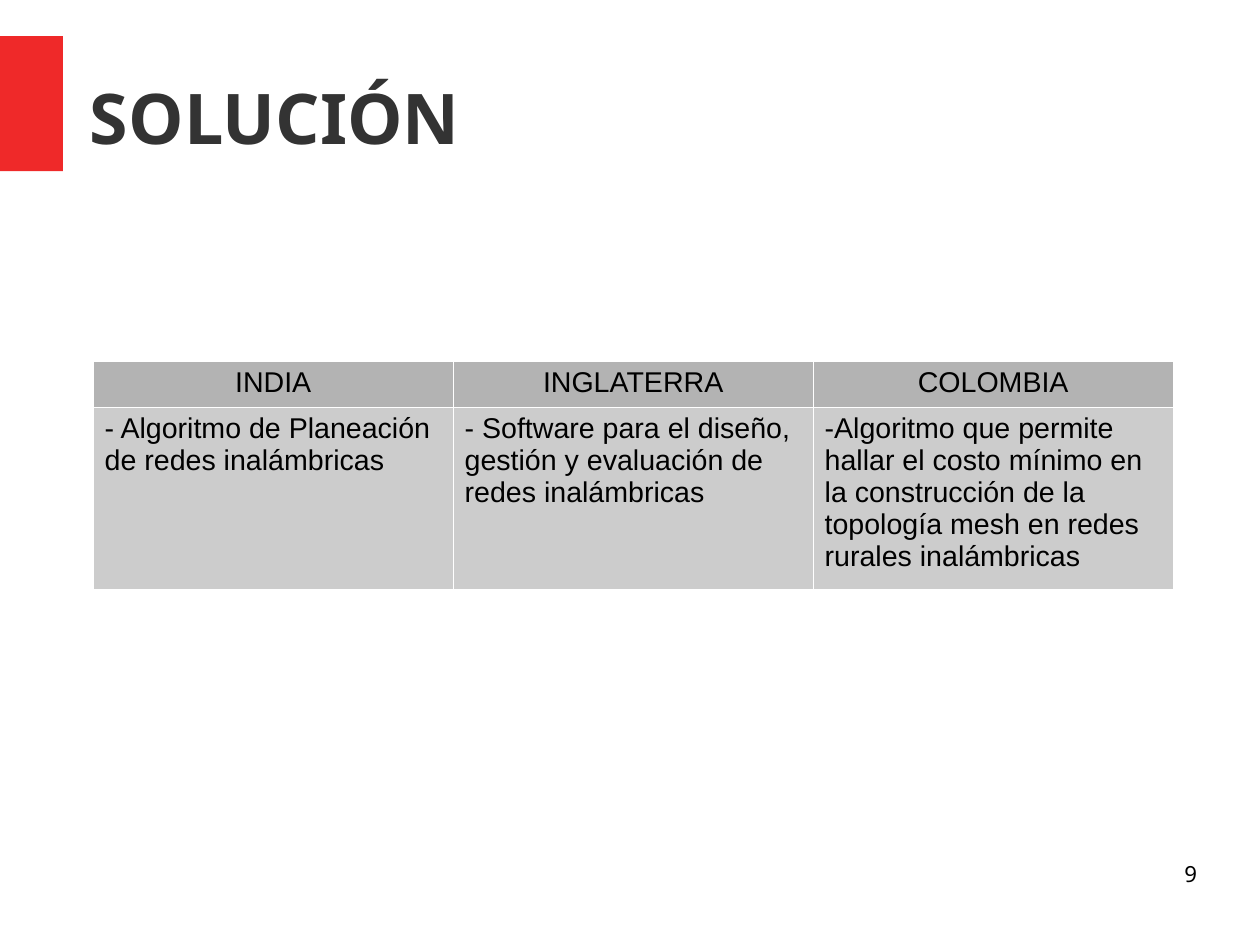
from dataclasses import dataclass

from lxml.etree import SubElement
from pptx import Presentation
from pptx.dml.color import RGBColor
from pptx.enum.shapes import MSO_SHAPE
from pptx.enum.text import MSO_ANCHOR, PP_ALIGN
from pptx.oxml.ns import qn
from pptx.slide import Slide
from pptx.table import _Cell
from pptx.text.text import TextFrame
from pptx.util import Cm, Inches, Pt

WIDTH, HEIGHT = Cm(28), Cm(21)
COLORS = {
    "accent": "EF2929",
    "title": "333333",
    "text": "000000",
    "header": "B3B3B3",
    "body": "CCCCCC",
    "border": "FFFFFF",
}
BORDER_WIDTH = Pt(0.06)


@dataclass
class Area:
    """Position and size as percentages of the slide."""
    left: float
    top: float
    width: float
    height: float

    def box(self) -> tuple[int, int, int, int]:
        return (int(WIDTH * self.left / 100), int(HEIGHT * self.top / 100),
                int(WIDTH * self.width / 100), int(HEIGHT * self.height / 100))


@dataclass
class Solution:
    country: str
    description: str


ACCENT_AREA = Area(0, 3.81, 5, 14.29)
TITLE_AREA = Area(7.14, 3.99, 87.84, 16.69)
TABLE_AREA = Area(7.4, 38.2, 85.72, 24.15)
NUMBER_AREA = Area(71.68, 91.05, 23.32, 6.89)
HEADER_SHARE = 0.2

SOLUTIONS = [
    Solution("INDIA", "- Algoritmo de Planeación de redes inalámbricas"),
    Solution("INGLATERRA", "- Software para el diseño, gestión y evaluación "
             "de redes inalámbricas"),
    Solution("COLOMBIA", "-Algoritmo que permite hallar el costo mínimo en la "
             "construcción de la topología mesh en redes rurales inalámbricas"),
]


def write_text(frame: TextFrame, text: str, *, size: float, font: str = "Noto Sans",
               color: str = "text", bold: bool = False,
               align: PP_ALIGN = PP_ALIGN.LEFT) -> None:
    paragraph = frame.paragraphs[0]
    paragraph.alignment = align
    run = paragraph.add_run()
    run.text = text
    run.font.name = font
    run.font.size = Pt(size)
    run.font.bold = bold
    run.font.color.rgb = RGBColor.from_string(COLORS[color])


def set_frame(frame: TextFrame, anchor: MSO_ANCHOR) -> None:
    frame.word_wrap = True
    frame.vertical_anchor = anchor
    frame.margin_left = frame.margin_right = 0
    frame.margin_top = frame.margin_bottom = 0


def set_borders(cell: _Cell) -> None:
    properties = cell._tc.get_or_add_tcPr()
    for side in ("lnL", "lnR", "lnT", "lnB"):
        line = SubElement(properties, qn(f"a:{side}"), w=str(BORDER_WIDTH))
        fill = SubElement(line, qn("a:solidFill"))
        SubElement(fill, qn("a:srgbClr"), val=COLORS["border"])


def fill_cell(cell: _Cell, text: str, color: str, align: PP_ALIGN) -> None:
    write_text(cell.text_frame, text, size=18, font="Arial", align=align)
    cell.vertical_anchor = MSO_ANCHOR.TOP
    cell.margin_left = cell.margin_right = Inches(0.1)
    cell.margin_top = cell.margin_bottom = Inches(0.05)
    set_borders(cell)
    cell.fill.solid()
    cell.fill.fore_color.rgb = RGBColor.from_string(COLORS[color])


def add_accent(slide: Slide) -> None:
    shape = slide.shapes.add_shape(MSO_SHAPE.RECTANGLE, *ACCENT_AREA.box())
    shape.shadow.inherit = False
    shape.fill.solid()
    shape.fill.fore_color.rgb = RGBColor.from_string(COLORS["accent"])
    shape.line.fill.background()


def add_title(slide: Slide, text: str) -> None:
    title = slide.shapes.title
    title.left, title.top, title.width, title.height = TITLE_AREA.box()
    set_frame(title.text_frame, MSO_ANCHOR.MIDDLE)
    write_text(title.text_frame, text, size=44, color="title", bold=True)


def add_solutions(slide: Slide, solutions: list[Solution]) -> None:
    left, top, width, height = TABLE_AREA.box()
    table = slide.shapes.add_table(2, len(solutions), left, top, width, height).table
    table.rows[0].height = int(height * HEADER_SHARE)
    table.rows[1].height = height - table.rows[0].height
    for column, solution in enumerate(solutions):
        fill_cell(table.cell(0, column), solution.country, "header", PP_ALIGN.CENTER)
        fill_cell(table.cell(1, column), solution.description, "body", PP_ALIGN.LEFT)


def add_page_number(slide: Slide, number: int) -> None:
    box = slide.shapes.add_textbox(*NUMBER_AREA.box())
    set_frame(box.text_frame, MSO_ANCHOR.TOP)
    write_text(box.text_frame, str(number), size=14, align=PP_ALIGN.RIGHT)


def main() -> None:
    presentation = Presentation()
    presentation.slide_width = WIDTH
    presentation.slide_height = HEIGHT
    # Title Only layout
    slide = presentation.slides.add_slide(presentation.slide_layouts[5])

    # Heading
    add_accent(slide)
    add_title(slide, "SOLUCIÓN")

    # Solutions by country
    add_solutions(slide, SOLUTIONS)

    # Footer
    add_page_number(slide, 9)
    presentation.save("out.pptx")


if __name__ == "__main__":
    main()
